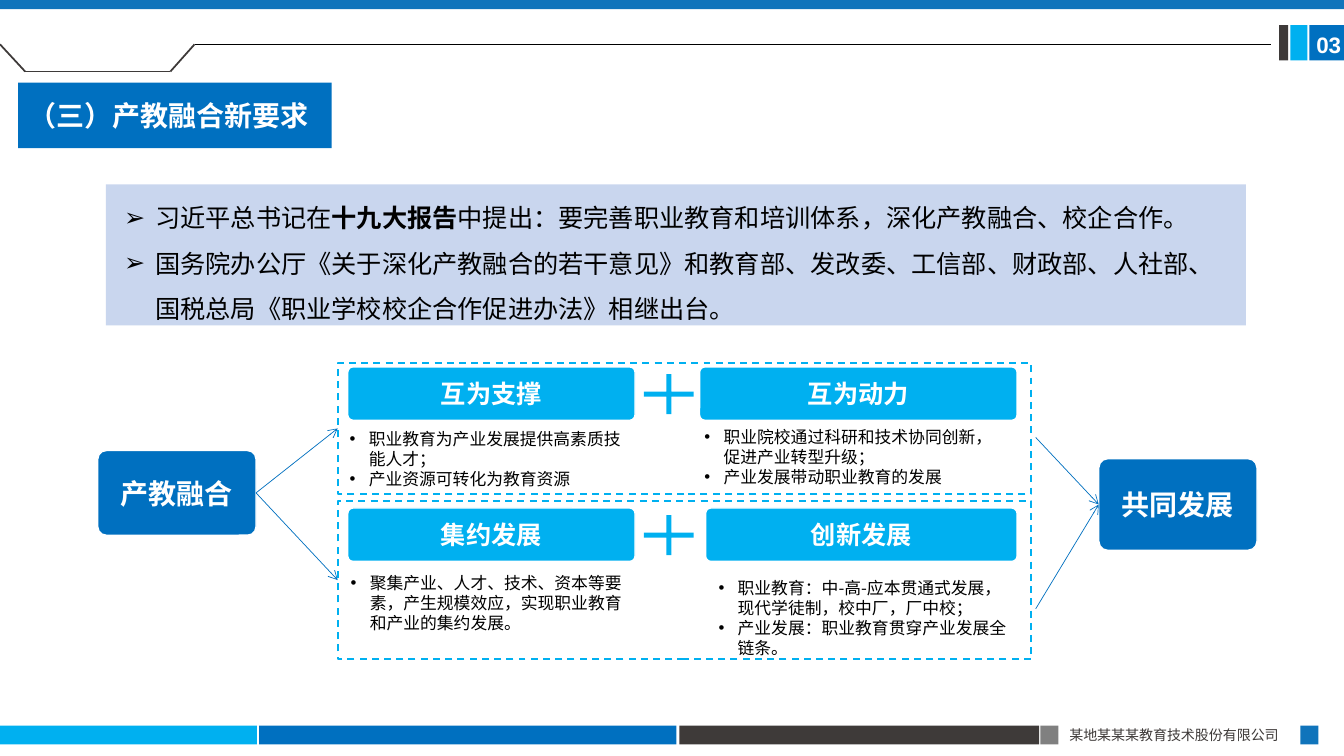
from itertools import pairwise

from lxml.etree import SubElement
from pptx import Presentation
from pptx.dml.color import RGBColor
from pptx.enum.dml import MSO_LINE
from pptx.enum.shapes import MSO_CONNECTOR, MSO_SHAPE
from pptx.enum.text import MSO_ANCHOR, MSO_AUTO_SIZE, PP_ALIGN
from pptx.oxml.ns import qn
from pptx.util import Inches, Pt

COLS, ROWS = 133.33, 75
HAN = "Noto Sans CJK SC"
BLUE, SKY, BAND = "0070C0", "00B0F0", "1074BB"
DARK, GRAY, PALE = "3E3A39", "808080", "8FAADC"
WHITE, BLACK = "FFFFFF", "000000"
LEFT, RIGHT = 1, 3


def rgb(code):
    return RGBColor.from_string(code)


class Board:
    """One slide laid out on a grid of 133.33 columns by 75 rows."""

    def __init__(self, deck):
        self.wide, self.high = deck.slide_width, deck.slide_height
        self.slide = deck.slides.add_slide(deck.slide_layouts[1])
        self.shapes = self.slide.shapes

    def x(self, col):
        return round(self.wide * col / COLS)

    def y(self, row):
        return round(self.high * row / ROWS)

    def area(self, box):
        col, row, wide, high = box
        return self.x(col), self.y(row), self.x(wide), self.y(high)

    def style(self, par, size, color, bold=False, font=HAN):
        for run in par.runs:
            face = run.font
            face.name, face.size = font, Pt(size)
            face.bold = bold or bool(face.bold)
            face.color.rgb = rgb(color)
            latin = face._element.find(qn("a:latin"))
            east = SubElement(face._element, qn("a:ea"), typeface=HAN)
            latin.addnext(east)

    def block(self, box, fill, kind=MSO_SHAPE.RECTANGLE, adj=None,
              edge=None, width=1, dash=False, alpha=None):
        shape = self.shapes.add_shape(kind, *self.area(box))
        shape.shadow.inherit = False
        shape.fill.solid()
        shape.fill.fore_color.rgb = rgb(fill)
        if alpha:
            tone = shape.fill._xPr.find(qn("a:solidFill"))[0]
            SubElement(tone, qn("a:alpha"), val=str(alpha * 1000))
        if adj:
            shape.adjustments[0] = adj
        if edge:
            shape.line.color.rgb = rgb(edge)
            shape.line.width = Pt(width)
            if dash:
                shape.line.dash_style = MSO_LINE.DASH
        else:
            shape.line.fill.background()
        return shape

    def pill(self, box, text, size, fill):
        shape = self.block(box, fill, MSO_SHAPE.ROUNDED_RECTANGLE, 0.1, WHITE)
        frame = shape.text_frame
        frame.text = text
        frame.vertical_anchor = MSO_ANCHOR.MIDDLE
        frame.paragraphs[0].alignment = PP_ALIGN.CENTER
        self.style(frame.paragraphs[0], size, WHITE, True)
        return shape

    def label(self, box, text, size, color, **look):
        frame = self.shapes.add_textbox(*self.area(box)).text_frame
        frame.word_wrap = True
        frame.text = text
        self.style(frame.paragraphs[0], size, color, **look)

    def items(self, frame, lines, size, mark, dent, gap=1.0, font=HAN):
        """Fill a frame with bullets; text between asterisks turns bold."""
        frame.word_wrap = True
        frame.text = "\n".join([""] * len(lines))
        for par, line in zip(frame.paragraphs, lines):
            for n, part in enumerate(line.split("*")):
                run = par.add_run()
                run.text = part
                run.font.bold = n % 2 == 1
            par.alignment = PP_ALIGN.LEFT
            par.line_spacing = gap
            par.space_before = par.space_after = Pt(0)
            prop = par._p.get_or_add_pPr()
            prop.set("marL", str(Inches(dent)))
            prop.set("indent", str(-Inches(dent)))
            SubElement(prop, qn("a:buFont"), typeface="Arial")
            SubElement(prop, qn("a:buChar"), char=mark)
            self.style(par, size, BLACK, font=font)

    def notes(self, box, lines):
        frame = self.shapes.add_textbox(*self.area(box)).text_frame
        self.items(frame, lines, 12, "•", 0.19)

    def holder(self, shape, box):
        """Place a template placeholder in front of what is drawn so far."""
        shape.left, shape.top, shape.width, shape.height = self.area(box)
        shape._element.getparent().append(shape._element)
        shape.text_frame.auto_size = MSO_AUTO_SIZE.NONE
        return shape.text_frame

    def title(self, box, text):
        frame = self.holder(self.shapes.title, box)
        frame.text = text
        frame.vertical_anchor = MSO_ANCHOR.MIDDLE
        frame.paragraphs[0].alignment = PP_ALIGN.LEFT
        self.style(frame.paragraphs[0], 20, WHITE, True, "Calibri")
        fill = self.shapes.title.fill
        fill.solid()
        fill.fore_color.rgb = rgb(BLUE)

    def body(self, box, lines):
        frame = self.holder(self.slide.placeholders[1], box)
        frame.vertical_anchor = MSO_ANCHOR.TOP
        self.items(frame, lines, 18, "➢", 0.31, 1.5, "Calibri")

    def line(self, start, end, color, width):
        link = self.shapes.add_connector(
            MSO_CONNECTOR.STRAIGHT, self.x(start[0]), self.y(start[1]),
            self.x(end[0]), self.y(end[1]))
        link.line.color.rgb = rgb(color)
        link.line.width = Pt(width)
        SubElement(link._element.spPr, qn("a:effectLst"))
        return link

    def arrow(self, start, end, source=None, goal=None):
        link = self.line(start, end, BLUE, 0.5)
        SubElement(link.line._get_or_add_ln(), qn("a:tailEnd"), type="arrow")
        if source:
            link.begin_connect(source, RIGHT)
        if goal:
            link.end_connect(goal, LEFT)


def trim(board):
    """Draw the bars at the top and bottom edges of the slide."""
    for col, wide, fill in ((0, 25.5, SKY), (25.7, 41.4, BLUE),
                            (67.4, 35.7, DARK), (103.2, 1.8, GRAY),
                            (129, 1.8, BAND)):
        board.block((col, 72, wide, 1.85), fill)
    board.label((105.1, 71.6, 24, 2.7), "某地某某某教育技术股份有限公司", 10, DARK)
    for col, wide, fill in ((129.9, 3.43, BLUE), (128, 1.7, SKY),
                            (126.9, 0.9, DARK)):
        board.block((col, 2.5, wide, 3.5), fill)
    board.label((129.6, 2.6, 5, 3.7), "03", 16, WHITE, bold=True, font="Arial")
    board.block((0, 0, COLS, 0.9), BAND)
    notch = ((0, 4.4), (2.5, 7.1), (16.9, 7.1), (19.3, 4.4))
    for start, end in pairwise(notch):
        board.line(start, end, DARK, 1.25)
    board.line(notch[-1], (126.1, 4.4), BLACK, 0.5)


def chart(board):
    """Draw the flow from integration through two frames to the shared goal."""
    cause = board.pill((9.7, 44.7, 15.7, 8.4), "产教融合", 20, BLUE)
    goal = board.pill((109, 45.5, 15.7, 9.1), "共同发展", 20, BLUE)
    bands = (
        (36, 13, 36.4, 43.4, (
            (34.5, 28.5, "互为支撑", (33.7, 42, 29.3, 7.1), (
                "职业教育为产业发展提供高素质技能人才；",
                "产业资源可转化为教育资源")),
            (69.4, 31.5, "互为动力", (68.9, 41.8, 32, 7.1), (
                "职业院校通过科研和技术协同创新，促进产业转型升级；",
                "产业发展带动职业教育的发展")))),
        (49.7, 15.7, 50.4, 60.4, (
            (34.5, 28.5, "集约发展", (33.8, 56.3, 29.3, 7.1), (
                "聚集产业、人才、技术、资本等要素，产生规模效应，"
                "实现职业教育和产业的集约发展。",)),
            (70, 30.9, "创新发展", (70.3, 56.8, 31.3, 9.1), (
                "职业教育：中-高-应本贯通式发展，现代学徒制，校中厂，厂中校；",
                "产业发展：职业教育贯穿产业发展全链条。")))))
    for top, high, head, exit, parts in bands:
        frame = board.block((33.5, top, 68.8, high), WHITE,
                            edge=SKY, width=1.25, dash=True)
        for col, wide, name, box, lines in parts:
            board.pill((col, head, wide, 5.3), name, 18, SKY)
            board.notes(box, lines)
        board.block((63, head, 6.7, 5.4), SKY, MSO_SHAPE.MATH_PLUS, 0.092)
        board.arrow((25.4, 48.9), (33.5, top + high / 2), cause, frame)
        board.arrow((102.75, exit), (109, 50.05), goal=goal)


def main():
    deck = Presentation()
    deck.slide_width, deck.slide_height = Inches(13.33), Inches(7.5)
    board = Board(deck)
    trim(board)
    board.block((10.5, 18.3, 113.1, 14), PALE, alpha=48)
    chart(board)
    board.body((11.3, 18.1, 112, 14.6), (
        "习近平总书记在*十九大报告*中提出：要完善职业教育和培训体系，"
        "深化产教融合、校企合作。",
        "国务院办公厅《关于深化产教融合的若干意见》和教育部、发改委、工信部、"
        "财政部、人社部、国税总局《职业学校校企合作促进办法》相继出台。"))
    board.title((1.8, 8.2, 31.1, 6.5), "（三）产教融合新要求")
    deck.save("out.pptx")


if __name__ == "__main__":
    main()
